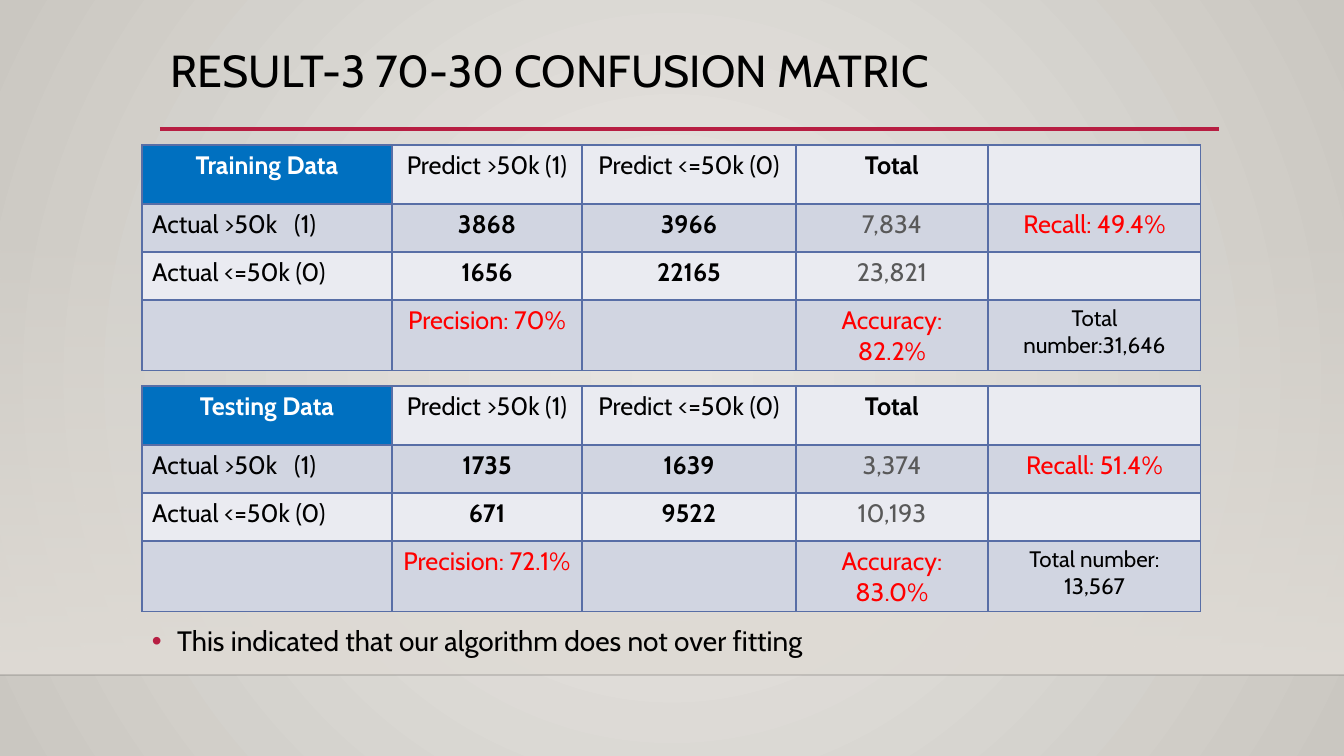
from lxml import etree
from pptx import Presentation
from pptx.dml.color import RGBColor
from pptx.enum.shapes import MSO_CONNECTOR, MSO_SHAPE
from pptx.enum.text import PP_ALIGN
from pptx.oxml import parse_xml
from pptx.oxml.ns import qn
from pptx.util import Pt

PX = 914400 / 100.8
NS = 'xmlns:a="http://schemas.openxmlformats.org/drawingml/2006/main"'
CENTER, LEFT = PP_ALIGN.CENTER, PP_ALIGN.LEFT
BLACK, GRAY, RED, CRIMSON = "000000", "595959", "FF0000", "B71E42"
BLUE, WHITE, BORDER, BANDS = "0070C0", "FFFFFF", "586EA6", ("EAEBF1", "D1D5E1")


def px(*lengths):
    return [round(n * PX) for n in lengths]


def color(code):
    return RGBColor.from_string(code)


prs = Presentation()
prs.slide_width, prs.slide_height = px(1344, 756)
slide = prs.slides.add_slide(prs.slide_layouts[6])

# Background: light centre, darker corners
backdrop = slide.background.fill
backdrop.gradient()
for stop, code in zip(backdrop.gradient_stops, ("ECEAE7", "CAC7C1")):
    stop.color.rgb = color(code)
gradient = backdrop.gradient_stops[0]._gs.getparent().getparent()
gradient.replace(gradient.find(qn("a:lin")), parse_xml(
    f'<a:path {NS} path="circle"><a:fillToRect l="50000" t="50000" r="50000" b="50000"/></a:path>'))

# Wall that fades in towards the floor
wall = slide.shapes.add_shape(MSO_SHAPE.RECTANGLE, *px(0, 223, 1344, 452))
wall.shadow.inherit = False
wall.line.fill.background()
wall.fill.gradient()
wall.fill.gradient_angle = 270
for stop in wall.fill.gradient_stops:
    stop.color.rgb = color("DFDBD5")
clear = wall.fill.gradient_stops[0]._gs.find(qn("a:srgbClr"))
etree.SubElement(clear, qn("a:alpha"), val="0")

# Floor line and title rule
for x1, x2, y, code, width, opacity in ((0, 1344, 675, "000001", 1, 20),
                                        (160, 1219, 129, CRIMSON, 2.5, 100)):
    rule = slide.shapes.add_connector(MSO_CONNECTOR.STRAIGHT, *px(x1, y, x2, y))
    rule.line.color.rgb = color(code)
    rule.line.width = Pt(width)
    etree.SubElement(rule.line.fill._xPr.find(".//" + qn("a:srgbClr")),
                     qn("a:alpha"), val=str(opacity * 1000))
    etree.SubElement(rule._element.spPr, qn("a:effectLst"))

# Title and conclusion
for text, box, size, spacing in (
        ("RESULT-3 70-30 CONFUSION MATRIC", (161, 44, 1058, 116), 32, 0.9),
        ("This indicated that our algorithm does not over fitting", (142, 612, 866, 59), 20, 1.2)):
    frame = slide.shapes.add_textbox(*px(*box)).text_frame
    frame.word_wrap = True
    line = frame.paragraphs[0]
    line.text = text
    line.line_spacing = spacing
    line.font.name, line.font.size = "Cabin", Pt(size)
    line.font.color.rgb = color(BLACK)

# Bullet on the conclusion, the last line written
line.space_before = Pt(10)
bullet = line._p.get_or_add_pPr()
bullet.set("marL", "228600")
bullet.set("indent", "-228600")
bullet_color = etree.SubElement(bullet, qn("a:buClr"))
etree.SubElement(bullet_color, qn("a:srgbClr"), val=CRIMSON)
etree.SubElement(bullet, qn("a:buFont"), typeface="Arial")
etree.SubElement(bullet, qn("a:buChar"), char="•")

# Confusion matrices: top, heading, two rows of counts, summary row
matrices = (
    (386, "Testing Data", ("1735", "1639", "3,374", "Recall: 51.4%"), ("671", "9522", "10,193", ""),
     ("", "Precision: 72.1%", "", "Accuracy: 83.0%", "Total number: 13,567")),
    (145, "Training Data", ("3868", "3966", "7,834", "Recall: 49.4%"), ("1656", "22165", "23,821", ""),
     ("", "Precision: 70%", "", "Accuracy: 82.2%", "Total number:31,646")),
)
column_widths = px(250, 190, 214, 192, 213)
row_heights = px(59, 48, 48, 48)
# Text colours and bold columns, row by row
text_colors = ((WHITE, BLACK, BLACK, BLACK, BLACK), (BLACK, BLACK, BLACK, GRAY, RED),
               (BLACK, BLACK, BLACK, GRAY, BLACK), (BLACK, RED, BLACK, RED, BLACK))
bold_columns = ((0, 3), (1, 2), (1, 2), ())

for top, heading, actual_high, actual_low, summary in matrices:
    rows = ((heading, "Predict >50k (1)", "Predict <=50k (0)", "Total", ""),
            ("Actual >50k   (1)", *actual_high), ("Actual <=50k (0)", *actual_low), summary)
    matrix = slide.shapes.add_table(4, 5, *px(142, top, 1059, 203)).table
    for column, width in zip(matrix.columns, column_widths):
        column.width = width
    for r, texts in enumerate(rows):
        matrix.rows[r].height = row_heights[r]
        for c, text in enumerate(texts):
            cell = matrix.cell(r, c)
            entry = cell.text_frame.paragraphs[0]
            entry.text = text
            entry.alignment = LEFT if c == 0 and r > 0 else CENTER
            entry.font.name = "Cabin"
            entry.font.size = Pt(16 if (r, c) == (3, 4) else 18)
            entry.font.bold = c in bold_columns[r]
            entry.font.color.rgb = color(text_colors[r][c])
            properties = cell._tc.get_or_add_tcPr()
            for side in ("lnL", "lnR", "lnT", "lnB"):
                properties.append(parse_xml(
                    f'<a:{side} {NS} w="12700"><a:solidFill><a:srgbClr val="{BORDER}"/>'
                    f'</a:solidFill></a:{side}>'))
            cell.fill.solid()
            cell.fill.fore_color.rgb = color(BLUE if r == c == 0 else BANDS[r % 2])

prs.save("out.pptx")
